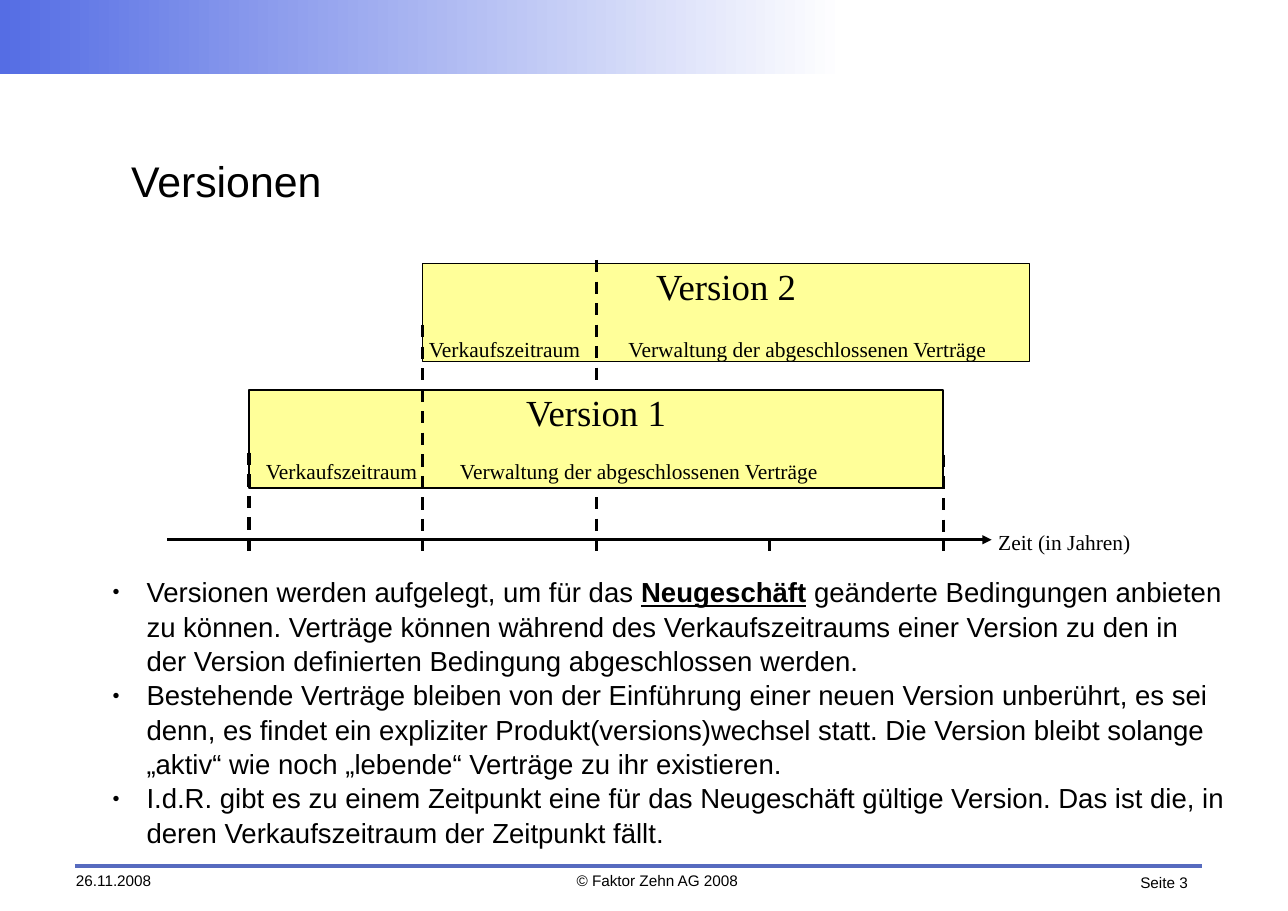
"""Build the slide on product versions and their sales periods."""
from lxml.etree import SubElement
from pptx import Presentation
from pptx.dml.color import RGBColor
from pptx.enum.dml import MSO_LINE
from pptx.enum.shapes import MSO_CONNECTOR, MSO_SHAPE
from pptx.enum.text import MSO_ANCHOR, PP_ALIGN
from pptx.oxml.ns import qn
from pptx.util import Inches, Pt

SANS, SERIF = "Arial", "Times New Roman"
LEFT, MID, RIGHT = PP_ALIGN.LEFT, PP_ALIGN.CENTER, PP_ALIGN.RIGHT
color = RGBColor.from_string

deck = Presentation()
deck.slide_width, deck.slide_height = Inches(11.69), Inches(8.27)
slide = deck.slides.add_slide(deck.slide_layouts[6])
shapes = slide.shapes


def write(shape, text, size, face, align=LEFT, anchor=MSO_ANCHOR.TOP):
    frame = shape.text_frame
    frame.margin_left = frame.margin_right = 0
    frame.margin_top = frame.margin_bottom = 0
    frame.word_wrap = True
    frame.vertical_anchor = anchor
    frame.text = text
    for para in frame.paragraphs:
        para.alignment = align
        for run in para.runs:
            run.font.size, run.font.name = Pt(size), face
            run.font.color.rgb = color("000000")


def draw(x1, y1, x2, y2, hue="000000", width=0, dash=False):
    line = shapes.add_connector(MSO_CONNECTOR.STRAIGHT, Inches(x1), Inches(y1),
                                Inches(x2), Inches(y2))
    line.line.color.rgb = color(hue)
    line.line.width = Pt(width)
    if dash:
        line.line.dash_style = MSO_LINE.DASH
    SubElement(line._element.spPr, qn("a:effectLst"))
    return line


band = shapes.add_shape(MSO_SHAPE.RECTANGLE, 0, 0, Inches(7.67), Inches(0.67))
band.shadow.inherit = False
band.line.fill.background()
band.fill.gradient()
band.fill.gradient_angle = 0
for stop, hue in zip(band.fill.gradient_stops, ("556DE4", "FFFFFF")):
    stop.color.rgb = color(hue)
draw(0.68, 7.86, 10.91, 7.86, "576BBF", 2.83)

years = [2.26 + 1.575 * i for i in range(5)]
axis = 4.9
bars = [("Version 2", years[1], 2.39, 5.51), ("Version 1", years[0], 3.54, 6.3)]
for name, left, top, width in bars:
    bar = shapes.add_shape(MSO_SHAPE.RECTANGLE, Inches(left), Inches(top),
                           Inches(width), Inches(0.89))
    bar.shadow.inherit = False
    bar.fill.solid()
    bar.fill.fore_color.rgb = color("FFFF99")
    bar.line.color.rgb = color("000000")
    bar.line.width = Pt(0)
    write(bar, name, 24, SERIF, MID)
    if name == "Version 2":
        draw(years[2], 2.36, years[2], axis, dash=True)

for year, start in ((0, 4.11), (1, 2.95), (4, 4.13)):
    draw(years[year], start, years[year], axis, dash=True)
for x in years:
    draw(x, axis, x, axis + 0.1)
arrow = draw(1.52, axis, 9, axis)
SubElement(arrow.line._get_or_add_ln(), qn("a:tailEnd"), type="triangle")

sale, admin = "Verkaufszeitraum", "Verwaltung der abgeschlossenen Verträge"
labels = [
    ("Versionen", 1.19, 0.95, 9.31, 1.37, 28, SANS, LEFT, MSO_ANCHOR.MIDDLE),
    (sale, 2.36, 4.16, 1.48, 0.22, 14, SERIF, MID),
    (admin, 3.88, 4.16, 3.84, 0.22, 14, SERIF, MID),
    (sale, 3.84, 3.05, 1.48, 0.22, 14, SERIF, MID),
    (admin, 5.41, 3.05, 3.84, 0.22, 14, SERIF, MID),
    ("Zeit (in Jahren)", 9.06, 4.8, 1.38, 0.22, 14, SERIF),
    ("26.11.2008", 0.69, 7.91, 1.17, 0.2, 10, SANS),
    ("© Faktor Zehn AG 2008", 5.16, 7.91, 1.61, 0.2, 10, SANS, MID),
    ("Seite 3", 10, 7.93, 0.78, 0.19, 10, SANS, RIGHT),
]
for text, left, top, width, height, *style in labels:
    box = shapes.add_textbox(Inches(left), Inches(top), Inches(width), Inches(height))
    write(box, text, *style)

points = [
    "Versionen werden aufgelegt, um für das ",
    "Bestehende Verträge bleiben von der Einführung einer neuen Version unberührt, "
    "es sei denn, es findet ein expliziter Produkt(versions)wechsel statt. Die Version "
    "bleibt solange „aktiv“ wie noch „lebende“ Verträge zu ihr existieren.",
    "I.d.R. gibt es zu einem Zeitpunkt eine für das Neugeschäft gültige Version. "
    "Das ist die, in deren Verkaufszeitraum der Zeitpunkt fällt.",
]
body = shapes.add_textbox(Inches(0.39), Inches(5.21), Inches(10.73), Inches(2.57))
body.text_frame.text = "\n".join(points)
first = body.text_frame.paragraphs[0]
key, rest = first.add_run(), first.add_run()
key.text = "Neugeschäft"
key.font.bold = key.font.underline = True
rest.text = (" geänderte Bedingungen anbieten zu können. Verträge können während des "
             "Verkaufszeitraums einer Version zu den in der Version definierten "
             "Bedingung abgeschlossen werden.")
for para in body.text_frame.paragraphs:
    para.line_spacing = 1.04
    props = para._p.get_or_add_pPr()
    props.set("marL", str(Inches(0.94)))
    props.set("indent", str(Inches(-0.31)))
    SubElement(props, qn("a:buSzPct"), val="45000")
    SubElement(props, qn("a:buFont"), typeface=SANS)
    SubElement(props, qn("a:buChar"), char="●")
    for run in para.runs:
        run.font.size, run.font.name = Pt(18), SANS
        run.font.color.rgb = color("000000")
frame = body.text_frame
frame.word_wrap = True
frame.margin_left = frame.margin_right = frame.margin_top = frame.margin_bottom = 0

deck.save("out.pptx")
